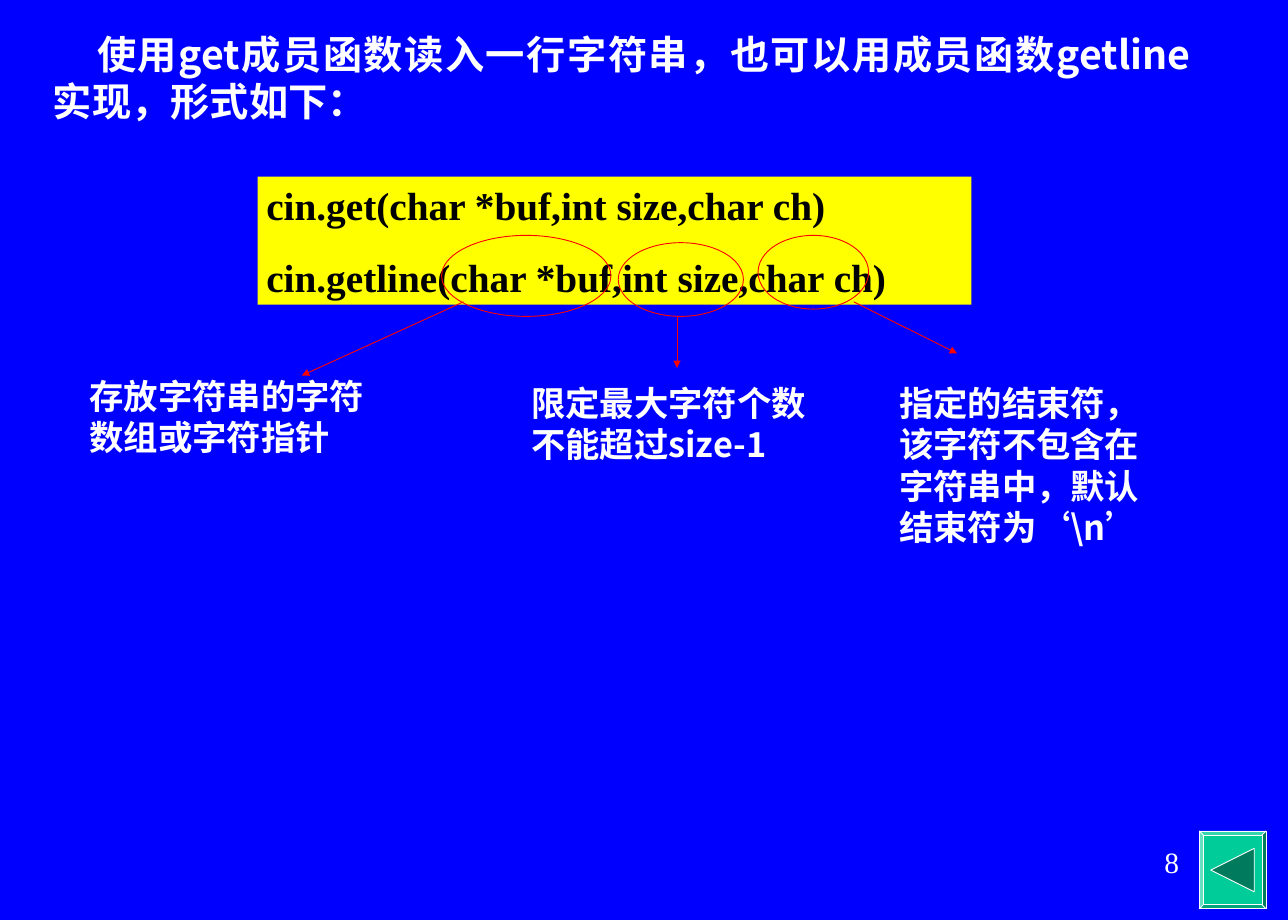
from dataclasses import dataclass
from lxml import etree
from pptx import Presentation
from pptx.dml.color import RGBColor
from pptx.enum.shapes import MSO_CONNECTOR, MSO_SHAPE
from pptx.enum.text import MSO_ANCHOR, MSO_AUTO_SIZE, PP_ALIGN
from pptx.oxml.ns import qn
from pptx.util import Cm, Pt


@dataclass(frozen=True)
class Theme:
    blue: str = "0000FF"
    yellow: str = "FFFF00"
    red: str = "FF0000"
    white: str = "FFFFFF"
    black: str = "000000"
    green: str = "00CC99"
    dark_green: str = "007A5C"
    cjk: str = "Noto Sans CJK SC"
    serif: str = "Times New Roman"
    large: int = 32
    note: int = 28
    number: int = 24
    hairline: float = 0.75
    leading: float = 1.2


T = Theme()

TITLE = "使用get成员函数读入一行字符串，也可以用成员函数getline实现，形式如下："
TITLE_BOX = (1.27, 0.64, 33.22, 2.97)
CODE = ["cin.get(char *buf,int size,char ch)", "cin.getline(char *buf,int size,char ch)"]
CODE_BOX = (7.41, 5.08, 20.53, 3.68)
PARAMETERS = [
    {"note": "存放字符串的字符数组或字符指针", "box": (2.33, 10.58, 8.68, 2.65),
     "ring": (12.7, 6.77, 4.87, 2.33), "arrow": (13.33, 8.68, 8.68, 10.8)},
    {"note": "限定最大字符个数不能超过size-1", "box": (15.03, 10.8, 8.68, 2.65),
     "ring": (17.78, 6.98, 3.6, 2.12), "arrow": (19.47, 9.1, 19.47, 10.58)},
    {"note": "指定的结束符，该字符不包含在字符串中，默认结束符为‘\\n’", "box": (25.61, 10.8, 7.62, 6.2),
     "ring": (21.8, 6.77, 3.18, 2.12), "arrow": (24.55, 8.68, 27.52, 10.16)},
]
PAGE = "8"
PAGE_BOX = (26.55, 24.1, 7.72, 1.75)
BUTTON = (34.49, 23.9, 1.92, 2.24)
BACK_ARROW = (34.82, 24.4, 1.25, 1.25)


def cm(values):
    return [Cm(v) for v in values]


def rgb(color):
    return RGBColor.from_string(color)


def write(tf, lines, font, size, color, bold=True, align=PP_ALIGN.LEFT,
          insets=(0.25, 0.13), before=0, leading=T.leading):
    tf.word_wrap = True
    tf.auto_size = MSO_AUTO_SIZE.NONE
    tf.vertical_anchor = MSO_ANCHOR.TOP
    tf.margin_left = tf.margin_right = Cm(insets[0])
    tf.margin_top = tf.margin_bottom = Cm(insets[1])
    for i, line in enumerate(lines):
        p = tf.add_paragraph() if i else tf.paragraphs[0]
        p.alignment = align
        p.space_before = Pt(before if i else 0)
        if leading:
            p.line_spacing = Pt(round(size * leading, 1))
        r = p.add_run()
        r.text = line
        r.font.name, r.font.size, r.font.bold = font, Pt(size), bold
        r.font.color.rgb = rgb(color)
        ea = etree.SubElement(r.font._element, qn("a:ea"))
        ea.set("typeface", font)


def add_preset(s, kind, box, fill=None, line=None):
    sp = s.shapes.add_shape(kind, *cm(box))
    sp.shadow.inherit = False
    if fill:
        sp.fill.solid()
        sp.fill.fore_color.rgb = rgb(fill)
    else:
        sp.fill.background()
    if line:
        sp.line.color.rgb = rgb(line)
        sp.line.width = Pt(T.hairline)
    else:
        sp.line.fill.background()
    return sp


def add_arrow(s, ends):
    c = s.shapes.add_connector(MSO_CONNECTOR.STRAIGHT, *cm(ends))
    c.line.color.rgb = rgb(T.red)
    c.line.width = Pt(T.hairline)
    etree.SubElement(c.line._get_or_add_ln(), qn("a:tailEnd")).set("type", "triangle")
    etree.SubElement(c._element.spPr, qn("a:effectLst"))


def add_title(s):
    title = s.shapes.title
    title.left, title.top, title.width, title.height = cm(TITLE_BOX)
    write(title.text_frame, [TITLE], T.cjk, T.large, T.white,
          align=PP_ALIGN.JUSTIFY, insets=(0.25, 0.22))
    pPr = title.text_frame.paragraphs[0]._p.get_or_add_pPr()
    pPr.set("marL", "0")
    pPr.set("indent", str(Cm(1.27)))


def add_button(s):
    button = add_preset(s, MSO_SHAPE.BEVEL, BUTTON, T.green, T.white)
    button.adjustments[0] = 0.06
    back = add_preset(s, MSO_SHAPE.ISOSCELES_TRIANGLE, BACK_ARROW, T.dark_green, T.white)
    back.rotation = 270


def main():
    prs = Presentation()
    prs.slide_width, prs.slide_height = cm((37.04, 26.46))
    s = prs.slides.add_slide(prs.slide_layouts[5])
    s.background.fill.solid()
    s.background.fill.fore_color.rgb = rgb(T.blue)

    add_title(s)
    add_button(s)
    code = add_preset(s, MSO_SHAPE.RECTANGLE, CODE_BOX, T.yellow)
    write(code.text_frame, CODE, T.serif, T.large, T.black,
          align=PP_ALIGN.JUSTIFY, before=20)
    for item in PARAMETERS:
        add_preset(s, MSO_SHAPE.OVAL, item["ring"], line=T.red)
        add_arrow(s, item["arrow"])
        note = s.shapes.add_textbox(*cm(item["box"]))
        write(note.text_frame, [item["note"]], T.cjk, T.note, T.white, insets=(0.25, 0.2))
    page = s.shapes.add_textbox(*cm(PAGE_BOX))
    write(page.text_frame, [PAGE], T.serif, T.number, T.white, bold=False,
          align=PP_ALIGN.RIGHT, insets=(0.36, 0.18), leading=None)
    prs.save("out.pptx")


if __name__ == "__main__":
    main()
